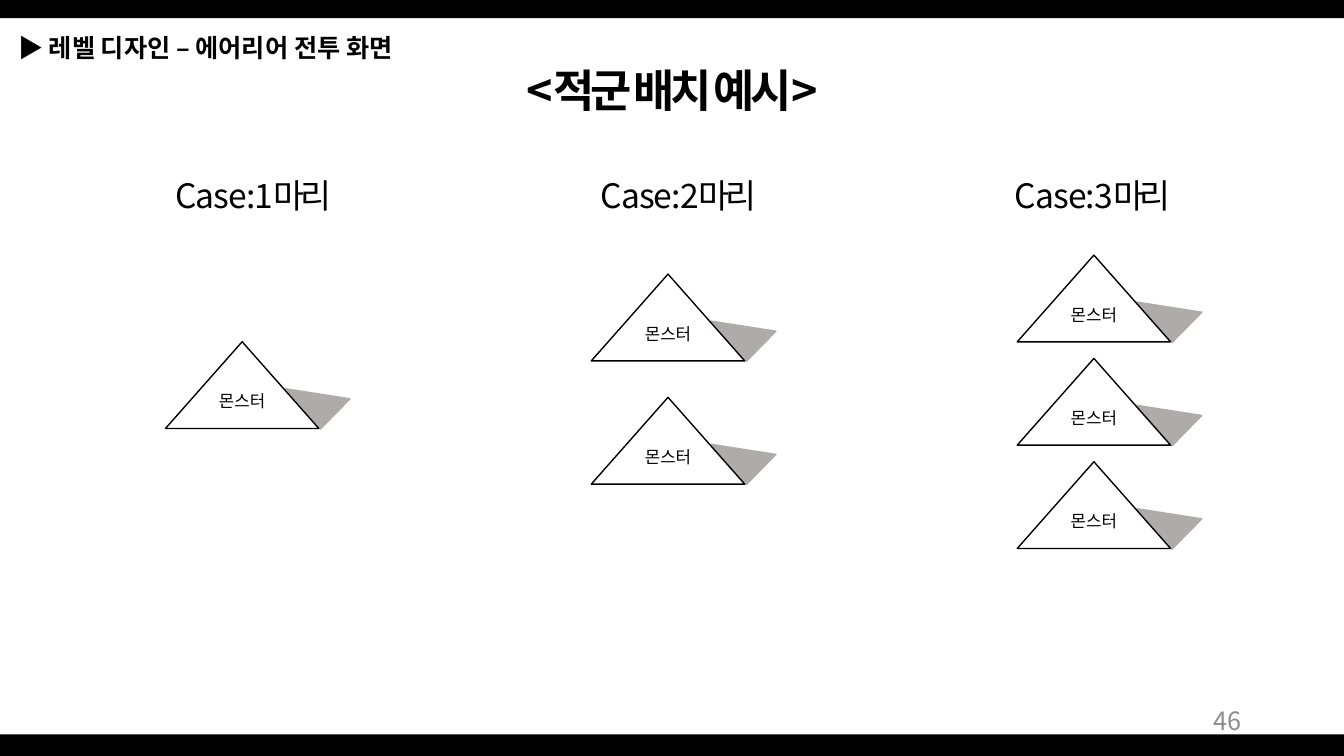
from pptx import Presentation
from pptx.dml.color import RGBColor
from pptx.enum import shapes, text
from pptx.util import Pt

COLORS = {"black": "000000", "white": "FFFFFF", "shadow": "AFABAB", "number": "8C8C8C"}
FONT = "Noto Sans CJK KR"
WIDTH, HEIGHT = 960, 540

BARS = [(0, 524.6, WIDTH, 15.4), (0, 0, WIDTH, 13)]

# Each run: wording and its format; spacing is in hundredths of a point
TIGHT = -300
TEXTS = [
    {"box": (323.3, 41, 314, 46), "align": "CENTER",
     "runs": [("<적군 배치 예시>", {"size": 32, "bold": True, "spacing": TIGHT})]},
    {"box": (678.2, 500.4, 216, 28.8), "align": "RIGHT", "anchor": "MIDDLE",
     "runs": [("46", {"size": 18, "color": "number"})]},
    {"box": (5.8, 19.4, 338.4, 28.8), "align": "LEFT",
     "runs": [("▶ ", {"size": 18}),
              ("레벨 디자인 – 에어리어 전투 화면", {"size": 18, "bold": True})]},
]

# Label, label left and width, first monster top, distance between monsters, count
CASES = [
    ("C a s e : 1마리", 110.2, 141.1, 244.1, 0, 1),
    ("C a s e : 2마리", 413.3, 142.6, 195.8, 88, 2),
    ("C a s e : 3마리", 712.8, 135.4, 182.2, 73.8, 3),
]
LABEL_TOP, LABEL_HEIGHT = 121.7, 36
MONSTER = "몬스터"
MONSTER_LEFT, MONSTER_PITCH = 118.2, 304.2
MONSTER_SIZE = (109.6, 62)
SHADOW_OFFSET, SHADOW_SIZE = (90.4, 23), (38.2, 30.2)


def rgb(name):
    return RGBColor.from_string(COLORS[name])


def add_runs(paragraph, runs, align):
    paragraph.alignment = getattr(text.PP_ALIGN, align)
    for wording, style in runs:
        run = paragraph.add_run()
        run.text = wording
        values = {"name": FONT, "size": Pt(style["size"]), "bold": style.get("bold", False)}
        for key, value in values.items():
            setattr(run.font, key, value)
        run.font.color.rgb = rgb(style.get("color", "black"))
        properties = run.font._element
        properties.set("spc", str(style.get("spacing", 0)))
        east_asian = properties.makeelement(
            properties.find("{*}latin").tag.replace("latin", "ea"), {"typeface": FONT})
        properties.find("{*}latin").addnext(east_asian)


def add_text(slide, box, runs, align, anchor="TOP"):
    frame = slide.shapes.add_textbox(*map(Pt, box)).text_frame
    frame.word_wrap = True
    frame.vertical_anchor = getattr(text.MSO_ANCHOR, anchor)
    add_runs(frame.paragraphs[0], runs, align)


def add_shape(slide, kind, box, fill, line=None):
    shape = slide.shapes.add_shape(getattr(shapes.MSO_SHAPE, kind), *map(Pt, box))
    shape.shadow.inherit = False
    shape.fill.solid()
    shape.fill.fore_color.rgb = rgb(fill)
    if line:
        shape.line.color.rgb = rgb(line)
        shape.line.width = Pt(1)
    else:
        shape.line.fill.background()
    return shape


def add_monster(slide, left, top):
    """Draw a labelled triangle in front of its tilted grey shadow."""
    shadow_box = (left + SHADOW_OFFSET[0], top + SHADOW_OFFSET[1], *SHADOW_SIZE)
    shadow = add_shape(slide, "ISOSCELES_TRIANGLE", shadow_box, "shadow", "shadow")
    shadow.adjustments[0] = 0.937
    shadow.rotation = 49

    body = add_shape(slide, "ISOSCELES_TRIANGLE", (left, top, *MONSTER_SIZE), "white", "black")
    frame = body.text_frame
    values = {"margin_left": 0, "margin_right": 0, "margin_top": 0, "margin_bottom": Pt(8),
              "vertical_anchor": text.MSO_ANCHOR.MIDDLE}
    for key, value in values.items():
        setattr(frame, key, value)
    add_runs(frame.paragraphs[0], [(MONSTER, {"size": 12})], "CENTER")


def main():
    presentation = Presentation()
    presentation.slide_width, presentation.slide_height = Pt(WIDTH), Pt(HEIGHT)
    slide = presentation.slides.add_slide(presentation.slide_layouts[6])

    for bar in BARS:
        add_shape(slide, "RECTANGLE", bar, "black")
    for item in TEXTS:
        add_text(slide, **item)
    for column, (label, left, width, top, pitch, count) in enumerate(CASES):
        add_text(slide, (left, LABEL_TOP, width, LABEL_HEIGHT),
                 [(label, {"size": 24, "spacing": TIGHT})], "CENTER")
        for row in range(count):
            add_monster(slide, MONSTER_LEFT + column * MONSTER_PITCH, top + row * pitch)

    presentation.save("out.pptx")


if __name__ == "__main__":
    main()
